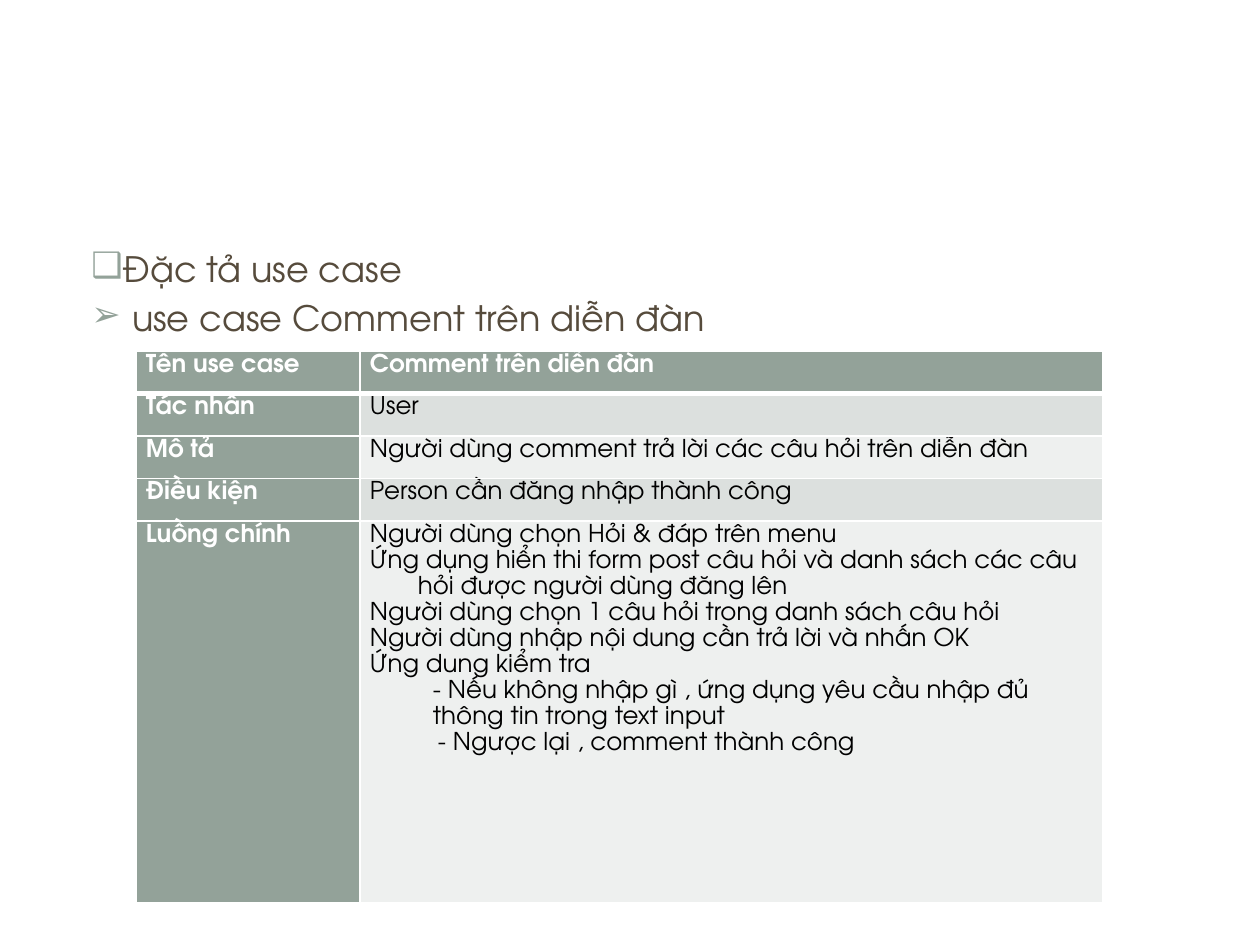
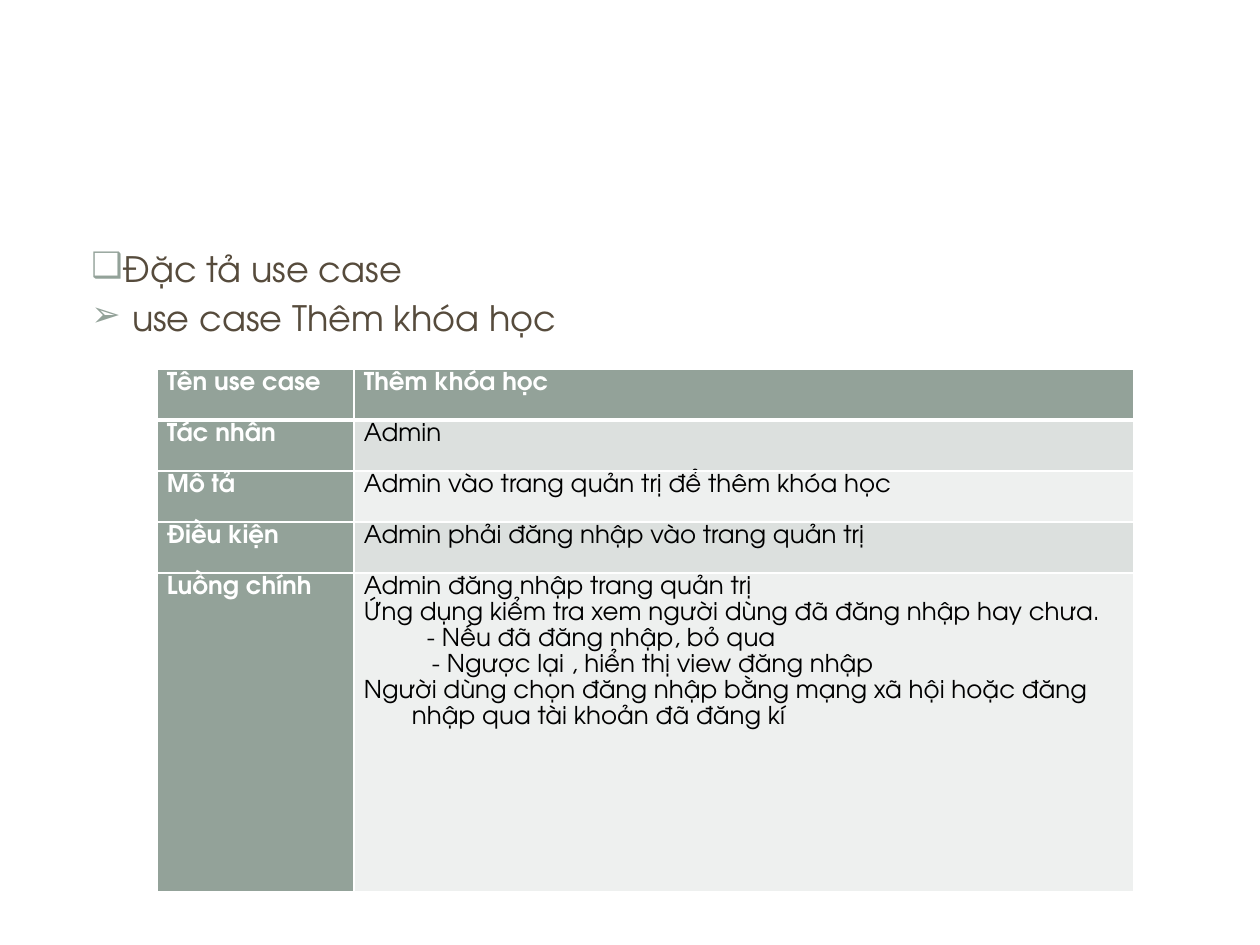
from lxml.etree import SubElement
from pptx import Presentation
from pptx.dml.color import RGBColor as Color
from pptx.enum.shapes import MSO_SHAPE as Preset
from pptx.oxml.ns import qn
from pptx.util import Pt

EMU_PER_PX = 914400 / 126
COLOURS = {
    "sage": "93A299",
    "brown": "564B3C",
    "white": "FFFFFF",
    "black": "000000",
    "band_dark": "DCE0DE",
    "band_light": "EEF0EF",
}
FONT = "TeX Gyre Adventor"
HEADING_FONT = {"name": FONT, "size": Pt(20), "bold": False}
LABEL_FONT = {"name": FONT, "size": Pt(14), "bold": True}
VALUE_FONT = {"name": FONT, "size": Pt(14), "bold": False}
FIELD_FORMAT = {"line_spacing": 1.15, "space_after": Pt(10)}
STEP_FORMAT = {"line_spacing": 1.15, "space_after": Pt(0)}
HEADING_FORMAT = {"space_before": Pt(4)}
INDENTS = {"step": (48, -48), "branch": (63, 0), "otherwise": (68, 0)}
LABELS = ["Tên use case", "Tác nhân", "Mô tả", "Điều kiện", "Luồng chính"]
FRAME_PANELS = [
    (Preset.ROUNDED_RECTANGLE, (13, 14, 1235, 919), 100),
    (Preset.RECTANGLE, (38, 38, 1184, 183), 83),
    (Preset.RECTANGLE, (52, 52, 1155, 154), 100),
]

USE_CASES = [
    {
        "heading_height": 602,
        "origin": (136, 351),
        "columns": (224, 743),
        "fields_height": 170,
        "flow_height": 382,
        "values": [
            "Comment trên diễn đàn",
            "User",
            "Người dùng comment trả lời các câu hỏi trên diễn đàn",
            "Person cần đăng nhập thành công",
        ],
        "flow": [
            ("step", "Người dùng chọn Hỏi & đáp trên menu"),
            ("step", "Ứng dụng hiển thi form post câu hỏi và danh sách các câu hỏi được người dùng đăng lên"),
            ("step", "Người dùng chọn 1 câu hỏi trong danh sách câu hỏi"),
            ("step", "Người dùng nhập nội dung cần trả lời và nhấn OK"),
            ("step", "Ứng dung kiểm tra"),
            ("branch", "- Nếu không nhập gì , ứng dụng yêu cầu nhập đủ thông tin trong text input"),
            ("otherwise", "- Ngược lại , comment thành công"),
        ],
    },
    {
        "heading_height": 683,
        "origin": (157, 369),
        "columns": (197, 780),
        "fields_height": 204,
        "flow_height": 319,
        "values": [
            "Thêm khóa học",
            "Admin",
            "Admin vào trang quản trị để thêm khóa học",
            "Admin phải đăng nhập vào trang quản trị",
        ],
        "flow": [
            ("step", "Admin đăng nhập trang quản trị"),
            ("step", "Ứng dụng kiểm tra xem người dùng đã đăng nhập hay chưa."),
            ("branch", "- Nếu đã đăng nhập, bỏ qua"),
            ("otherwise", "- Ngược lại , hiển thị view đăng nhập"),
            ("step", "Người dùng chọn đăng nhập bằng mạng xã hội hoặc đăng nhập qua tài khoản đã đăng kí"),
        ],
    },
]


def px(length):
    return round(length * EMU_PER_PX)


def apply(target, values):
    for name, value in values.items():
        setattr(target, name, value)


def add_solid_colour(parent, colour):
    fill = SubElement(parent, qn("a:solidFill"))
    SubElement(fill, qn("a:srgbClr"), val=COLOURS[colour])


def add_frame(slide):
    for preset, box, opacity in FRAME_PANELS:
        shape = slide.shapes.add_shape(preset, *map(px, box))
        shape.shadow.inherit = False
        shape.line.fill.background()
        shape.fill.solid()
        shape.fill.fore_color.rgb = Color.from_string(COLOURS["white"])
        if preset == Preset.ROUNDED_RECTANGLE:
            shape.adjustments[0] = 0.02
        if opacity < 100:
            colour = shape._element.spPr.find(f"{qn('a:solidFill')}/{qn('a:srgbClr')}")
            SubElement(colour, qn("a:alpha"), val=str(opacity * 1000))


def write_paragraph(frame, index, text, font, colour, layout):
    paragraph = frame.add_paragraph() if index else frame.paragraphs[0]
    apply(paragraph, layout)
    run = paragraph.add_run()
    run.text = text
    apply(run.font, font)
    run.font.color.rgb = Color.from_string(COLOURS[colour])
    return paragraph


def set_indent(paragraph, left, first_line):
    properties = paragraph._p.get_or_add_pPr()
    properties.set("marL", str(px(left)))
    properties.set("indent", str(px(first_line)))
    return properties


def add_heading(slide, use_case_name, height):
    box = slide.shapes.add_textbox(px(62), px(241), px(1134), px(height))
    frame = box.text_frame
    frame.word_wrap = True
    lines = [("❑", "Đặc tả use case"), ("➢", f" use case {use_case_name}")]
    for index, (bullet, text) in enumerate(lines):
        paragraph = write_paragraph(frame, index, text, HEADING_FONT, "brown", HEADING_FORMAT)
        properties = set_indent(paragraph, 48, -31)
        bullet_colour = SubElement(properties, qn("a:buClr"))
        SubElement(bullet_colour, qn("a:srgbClr"), val=COLOURS["sage"])
        SubElement(properties, qn("a:buFont"), typeface=FONT)
        SubElement(properties, qn("a:buChar"), char=bullet)


def style_cell(cell, fill, top, bottom):
    apply(cell, {"margin_left": px(10), "margin_right": px(10), "margin_top": 0, "margin_bottom": 0})
    properties = cell._tc.get_or_add_tcPr()
    for side, width in {"L": 1, "R": 1, "T": top, "B": bottom}.items():
        border = SubElement(properties, qn(f"a:ln{side}"), w=str(Pt(width)))
        add_solid_colour(border, "white")
    cell.fill.solid()
    cell.fill.fore_color.rgb = Color.from_string(COLOURS[fill])


def add_use_case_table(slide, use_case):
    left, top = use_case["origin"]
    field_count = len(LABELS) - 1
    heights = [use_case["fields_height"] / field_count] * field_count + [use_case["flow_height"]]
    table = slide.shapes.add_table(
        len(LABELS), 2, px(left), px(top), px(sum(use_case["columns"])), px(sum(heights))
    ).table
    for column, width in zip(table.columns, use_case["columns"]):
        column.width = px(width)
    for index, (row, height) in enumerate(zip(table.rows, heights)):
        row.height = px(height)
        label, value = row.cells
        is_header = index == 0
        band = "sage" if is_header else ("band_light", "band_dark")[index % 2]
        for cell, fill in ((label, "sage"), (value, band)):
            style_cell(cell, fill, 3 if index == 1 else 1, 3 if is_header else 1)
        write_paragraph(label.text_frame, 0, LABELS[index], LABEL_FONT, "white", FIELD_FORMAT)
        if index < field_count:
            font, colour = (LABEL_FONT, "white") if is_header else (VALUE_FONT, "black")
            write_paragraph(value.text_frame, 0, use_case["values"][index], font, colour, FIELD_FORMAT)
        else:
            add_flow(value.text_frame, use_case["flow"])


def add_flow(frame, flow):
    for index, (kind, text) in enumerate(flow):
        paragraph = write_paragraph(frame, index, text, VALUE_FONT, "black", STEP_FORMAT)
        set_indent(paragraph, *INDENTS[kind])


def main():
    presentation = Presentation()
    apply(presentation, {"slide_width": px(1260), "slide_height": px(945)})
    for use_case in USE_CASES:
        slide = presentation.slides.add_slide(presentation.slide_layouts[6])
        add_frame(slide)
        add_heading(slide, use_case["values"][0], use_case["heading_height"])
        add_use_case_table(slide, use_case)
    presentation.save("out.pptx")


if __name__ == "__main__":
    main()
